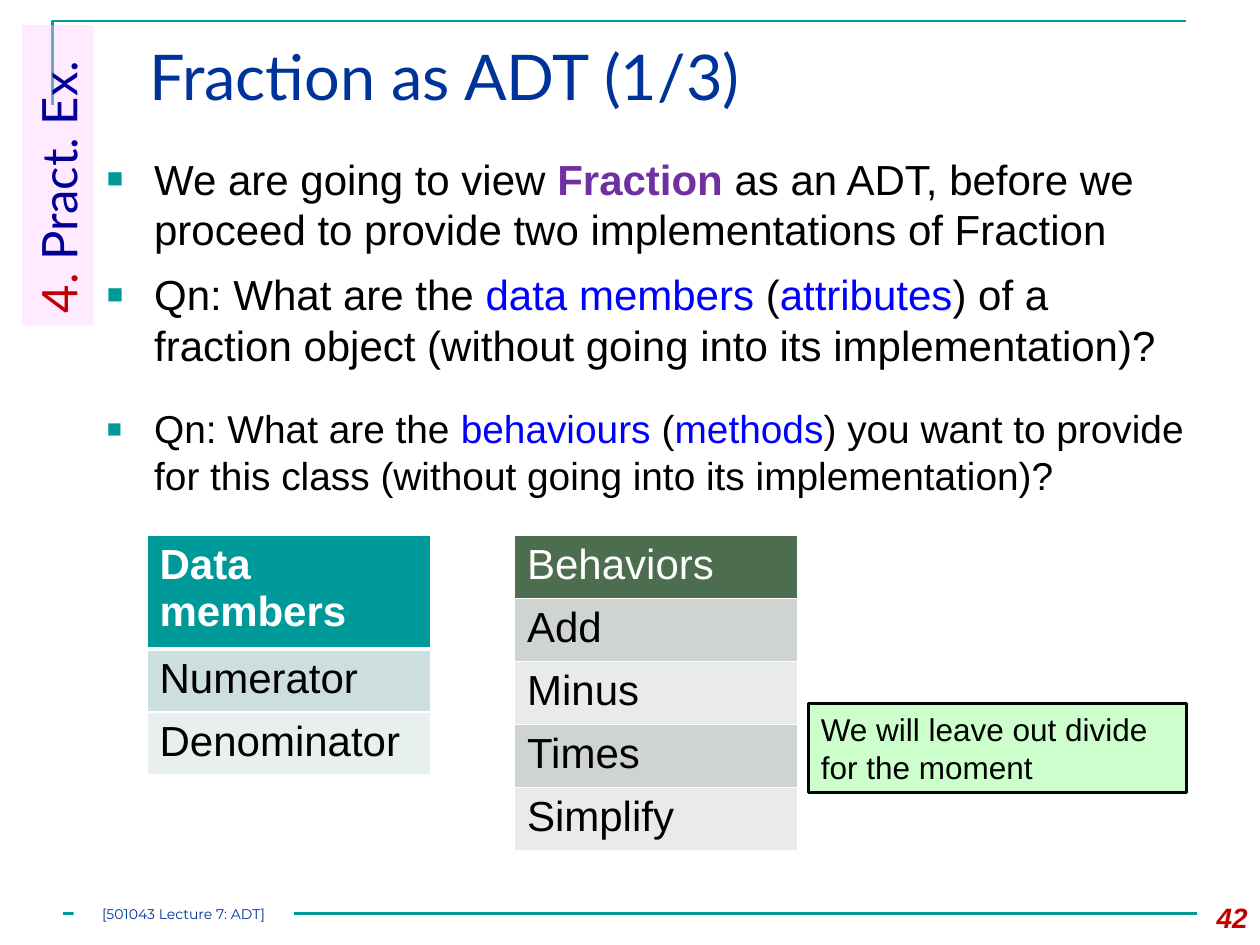
from lxml.etree import SubElement
from pptx import Presentation
from pptx.dml.color import RGBColor
from pptx.enum.shapes import MSO_CONNECTOR, MSO_SHAPE
from pptx.enum.text import MSO_ANCHOR, PP_ALIGN
from pptx.oxml.ns import qn
from pptx.util import Emu, Pt

PX = 914400 // 120
TEAL, NAVY, RED, BLUE = "009999", "003399", "C00000", "0000FF"
BLACK, WHITE = "000000", "FFFFFF"


def px(*lengths):
    return [Emu(length * PX) for length in lengths]


def rgb(value):
    return RGBColor.from_string(value)


def add_xml(parent, tag, **attributes):
    return SubElement(parent, qn(tag), attributes)


class SlideBuilder:
    def __init__(self, presentation):
        self.slide = presentation.slides.add_slide(presentation.slide_layouts[5])
        self.shapes = self.slide.shapes

    def style(self, paragraph, size, font="Arial", color=BLACK, bold=False, italic=False):
        paragraph.font.size = Pt(size)
        paragraph.font.name = font
        paragraph.font.bold = bold
        paragraph.font.italic = italic
        paragraph.font.color.rgb = rgb(color)

    def fill_text(self, frame, parts, size, align=PP_ALIGN.LEFT, anchor=MSO_ANCHOR.TOP, **style):
        """Fill a text frame with one paragraph; parts are (text, color, bold)."""
        frame.word_wrap = True
        frame.vertical_anchor = anchor
        paragraph = frame.paragraphs[0]
        paragraph.alignment = align
        self.style(paragraph, size, **style)
        for text, color, bold in parts:
            run = paragraph.add_run()
            run.text = text
            if color:
                run.font.color.rgb = rgb(color)
            if bold:
                run.font.bold = True
        return paragraph

    def title(self, text, box):
        title = self.shapes.title
        title.left, title.top, title.width, title.height = px(*box)
        self.fill_text(title.text_frame, [(text, None, False)], 36, font="Lato", color=NAVY)

    def text(self, parts, box, size, **style):
        shape = self.shapes.add_textbox(*px(*box))
        return self.fill_text(shape.text_frame, parts, size, **style)

    def bullet(self, parts, top, size):
        paragraph = self.text(parts, (90, top, 1050, 120), size)
        paragraph.space_before = Pt(6)
        properties = paragraph._p.get_or_add_pPr()
        indent = px(45)[0]
        properties.set("marL", str(indent))
        properties.set("indent", str(-indent))
        color = add_xml(properties, "a:buClr")
        add_xml(color, "a:srgbClr", val=TEAL)
        add_xml(properties, "a:buSzPct", val="65000")
        add_xml(properties, "a:buFont", typeface="Arial")
        add_xml(properties, "a:buChar", char="■")
        # The default run properties must follow the bullet settings.
        properties.append(properties.find(qn("a:defRPr")))

    def rectangle(self, box, fill, parts, size, line=None, opacity=None, margin=None, **style):
        shape = self.shapes.add_shape(MSO_SHAPE.RECTANGLE, *px(*box))
        shape.shadow.inherit = False
        shape.fill.solid()
        shape.fill.fore_color.rgb = rgb(fill)
        if opacity:
            color = shape._element.spPr.find(qn("a:solidFill"))[0]
            add_xml(color, "a:alpha", val=str(opacity * 1000))
        if line:
            shape.line.color.rgb = rgb(line)
            shape.line.width = Pt(2)
        else:
            shape.line.fill.background()
        frame = shape.text_frame
        if margin is not None:
            frame.margin_left = frame.margin_right = margin
            frame.margin_top = frame.margin_bottom = margin
        self.fill_text(frame, parts, size, **style)
        return shape

    def rule(self, start, end):
        line = self.shapes.add_connector(MSO_CONNECTOR.STRAIGHT, *px(*start, *end))
        line.line.color.rgb = rgb(TEAL)
        line.line.width = Pt(1.5)
        add_xml(line._element.spPr, "a:effectLst")

    def corner(self, points):
        builder = self.shapes.build_freeform(*points[0], scale=PX)
        builder.add_line_segments(points[1:], close=False)
        shape = builder.convert_to_shape()
        shape.shadow.inherit = False
        shape.fill.background()
        shape.line.color.rgb = rgb(TEAL)
        shape.line.width = Pt(1.5)

    def cell_borders(self, cell, top, bottom):
        properties = cell._tc.get_or_add_tcPr()
        widths = {"a:lnL": 1, "a:lnR": 1, "a:lnT": top, "a:lnB": bottom}
        for position, (tag, width) in enumerate(widths.items()):
            line = add_xml(properties, tag, w=str(Pt(width)))
            add_xml(add_xml(line, "a:solidFill"), "a:srgbClr", val=WHITE)
            properties.insert(position, line)

    def table(self, left, rows, header_fill, bands, bold, header_rule):
        """Add a one-column table with a header row and alternating bands."""
        row_height = 49
        box = px(left, 510, 270, row_height * len(rows))
        table = self.shapes.add_table(len(rows), 1, *box).table
        for index, text in enumerate(rows):
            header = index == 0
            cell = table.cell(index, 0)
            cell.text = text
            cell.fill.solid()
            cell.fill.fore_color.rgb = rgb(header_fill if header else bands[(index - 1) % 2])
            self.style(cell.text_frame.paragraphs[0], 24,
                       color=WHITE if header else BLACK, bold=bold and header)
            self.cell_borders(cell, top=header_rule if index == 1 else 1,
                              bottom=header_rule if header else 1)


def main():
    presentation = Presentation()
    presentation.slide_width, presentation.slide_height = px(1200, 900)
    builder = SlideBuilder(presentation)

    builder.corner([(50, 100), (50, 20), (1130, 20)])
    builder.rule((60, 870), (1140, 870))
    builder.title("Fraction as ADT (1/3)", (130, 30, 1040, 103))
    builder.text([("42", None, False)], (1120, 852, 80, 48), 16,
                 align=PP_ALIGN.RIGHT, color=RED, bold=True, italic=True)
    section = builder.rectangle((-88, 133, 286, 68), "FFCCFF",
                                [("4. ", RED, False), ("Pract. Ex.", None, False)],
                                28, opacity=40, font="Lato", color="000099")
    section.rotation = 270

    builder.bullet([("We are going to view ", None, False),
                    ("Fraction", "7030A0", True),
                    (" as an ADT, before we proceed to provide two implementations of Fraction",
                     None, False)], 140, 24)
    questions = [
        (250, 24, "data members ", "attributes",
         ") of a fraction object (without going into its implementation)?"),
        (380, 22.2, "behaviours ", "methods",
         ") you want to provide for this class (without going into its implementation)?"),
    ]
    for top, size, term, synonym, ending in questions:
        builder.bullet([("Qn: What are the ", None, False), (term, BLUE, False),
                        ("(", None, False), (synonym, BLUE, False),
                        (ending, None, False)], top, size)

    builder.table(140, ["Data members", "Numerator", "Denominator"],
                  TEAL, ("CCDEDE", "E7EFEF"), bold=True, header_rule=3)
    builder.table(490, ["Behaviors", "Add", "Minus", "Times", "Simplify"],
                  "4C6D4E", ("D0D4D0", "E9EBE9"), bold=False, header_rule=1)
    builder.rectangle((770, 670, 360, 85), "CCFFCC",
                      [("We will leave out divide for the moment", None, False)],
                      18, line=BLACK)
    builder.rectangle((70, 860, 210, 20), WHITE,
                      [("[501043 Lecture 7: ADT]", None, False)], 8, margin=0,
                      align=PP_ALIGN.CENTER, anchor=MSO_ANCHOR.MIDDLE,
                      font="Montserrat", color=NAVY)
    presentation.save("out.pptx")


if __name__ == "__main__":
    main()
